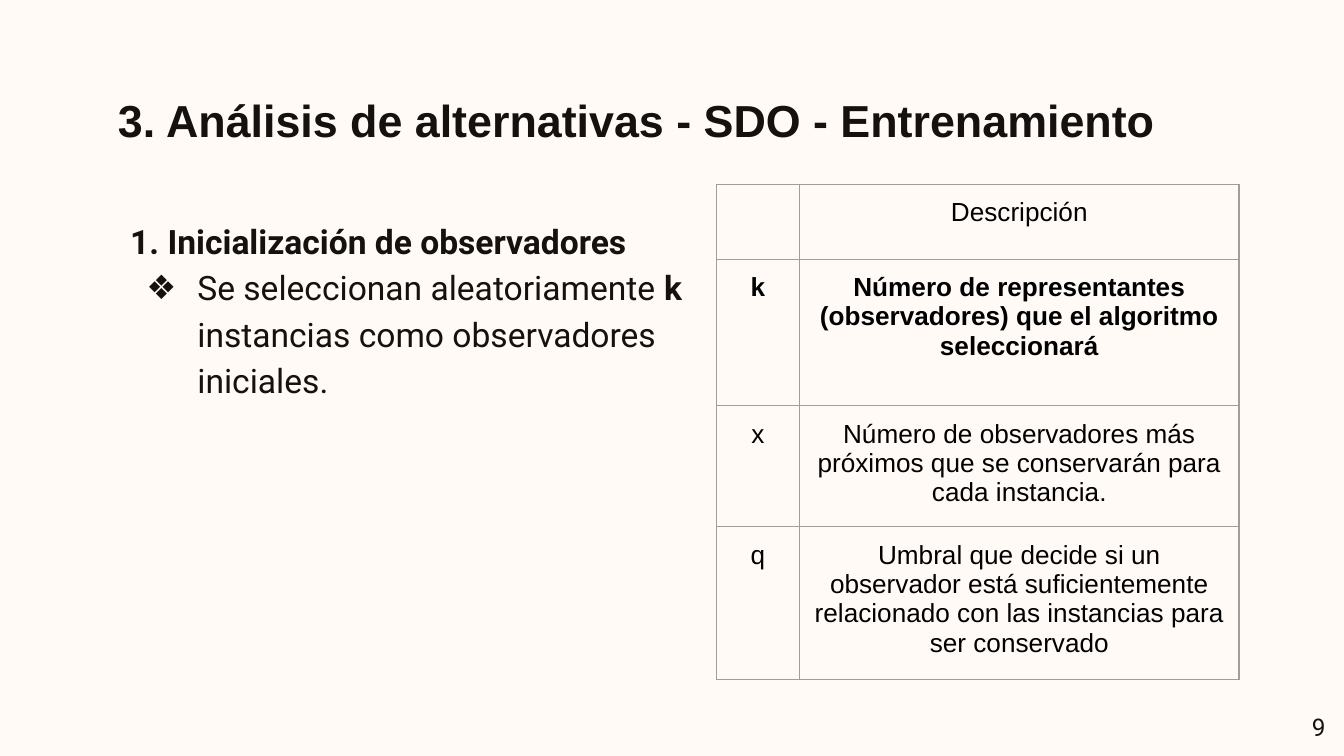
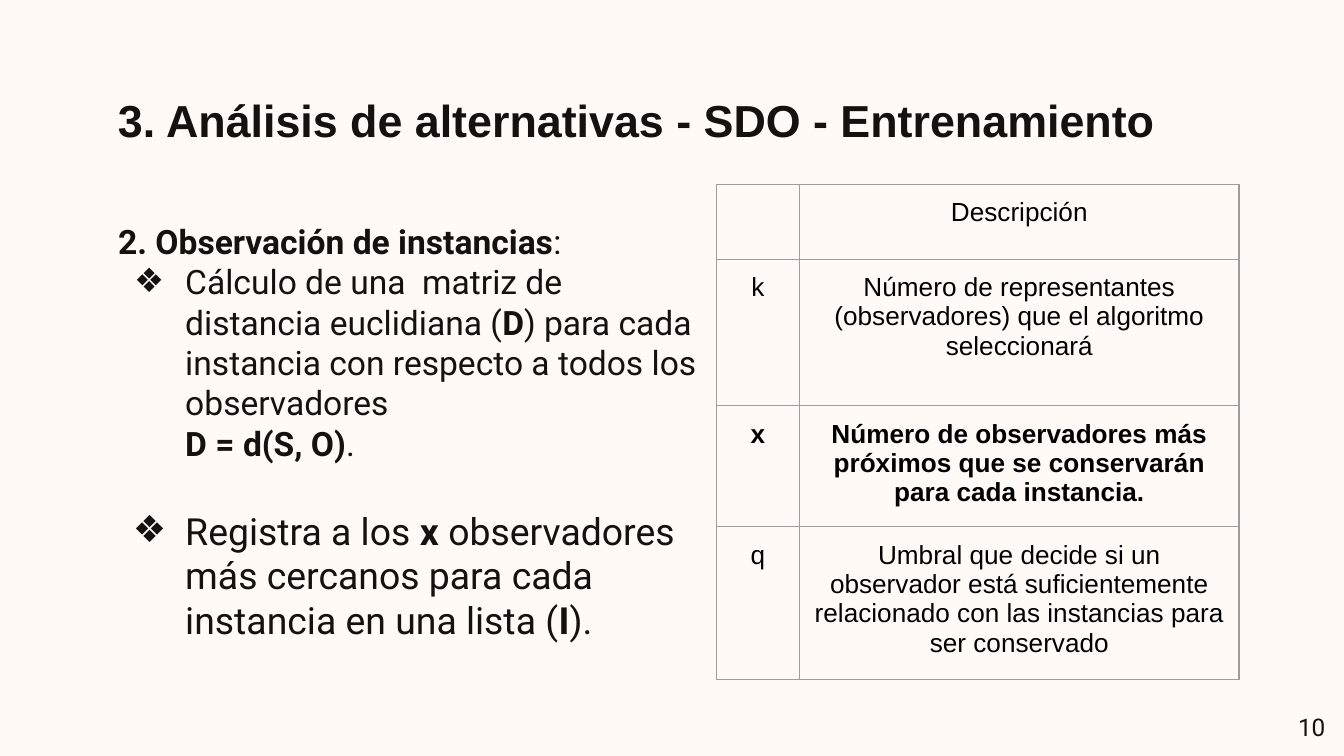
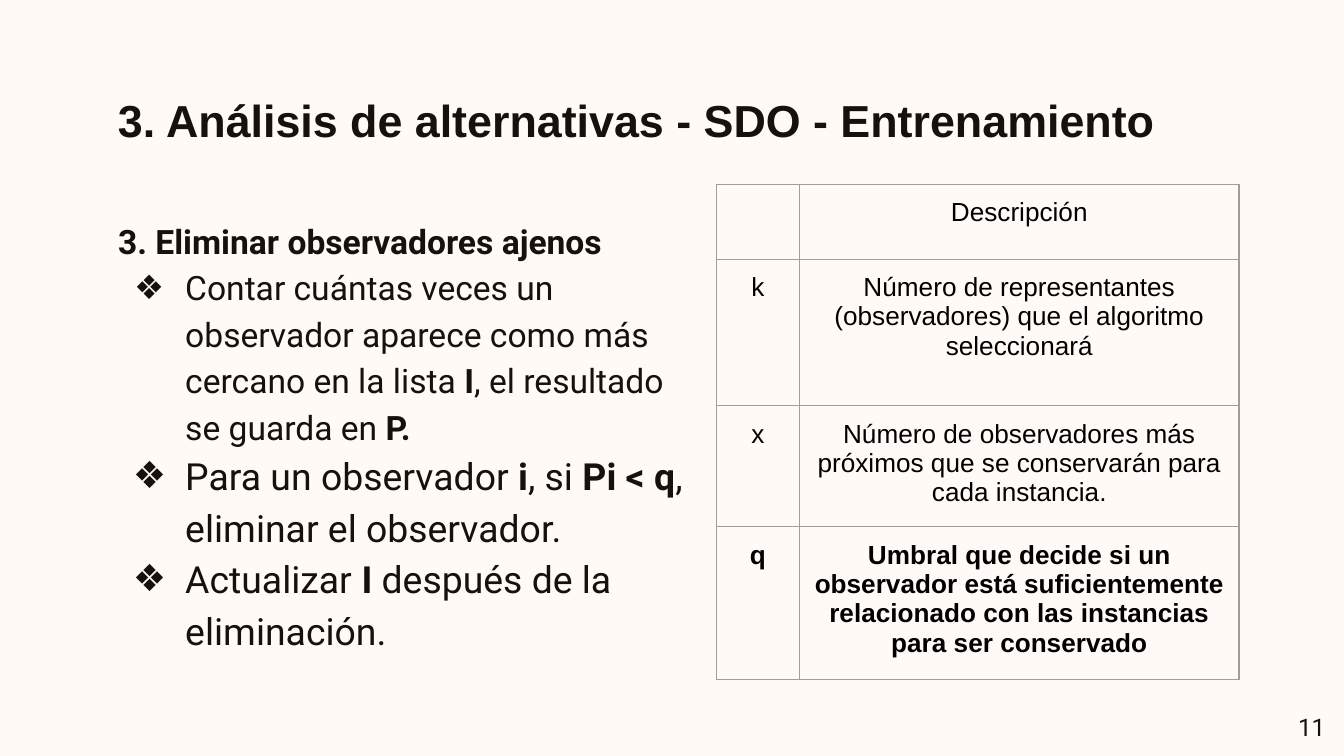
"""Three slides on the SDO training steps, each beside the table of parameters."""

from lxml import etree
from pptx import Presentation
from pptx.dml.color import RGBColor
from pptx.enum.text import MSO_ANCHOR, PP_ALIGN
from pptx.oxml.ns import qn
from pptx.util import Inches, Pt

LEFT, CENTER, RIGHT = PP_ALIGN.LEFT, PP_ALIGN.CENTER, PP_ALIGN.RIGHT
TOP, MIDDLE = MSO_ANCHOR.TOP, MSO_ANCHOR.MIDDLE
CREAM = RGBColor(0xFF, 0xFA, 0xF6)
INK = RGBColor(0x15, 0x11, 0x0E)
BLACK = RGBColor(0, 0, 0)
GRAY = RGBColor(0x9E, 0x9E, 0x9E)

INSETS = {f"margin_{side}": Inches(0.1) for side in ("left", "top", "right", "bottom")}
MARGIN = 0.78
TITLE = "*3. Análisis de alternativas - SDO - Entrenamiento*"
TABLE_SIDE = Inches(3.28)
COLUMN_WIDTHS = (0.62, 3.27)
ROW_HEIGHTS = (0.56, 1.09, 0.86, 1.09)
PARAMETERS = (
    ("", "Descripción"),
    ("k", "Número de representantes (observadores) que el algoritmo seleccionará"),
    ("x", "Número de observadores más próximos que se conservarán para cada instancia."),
    ("q", "Umbral que decide si un observador está suficientemente relacionado "
          "con las instancias para ser conservado"),
)

HEADING = {"size": 18, "line_spacing": 1.15}
BULLET = {"size": 18, "indent": (0.5, -0.38), "bullet": "❖"}
LARGE_BULLET = {"size": 20, "indent": (0.5, -0.39), "bullet": "❖"}
LOOSE = {"line_spacing": 1.15}
FORMULA = {"size": 18, "indent": (0, 0.5)}

STEPS = (
    {"number": 9, "left": 0.87, "parameter": "k", "lines": (
        ("*1. Inicialización de observadores*", HEADING),
        ("Se seleccionan aleatoriamente *k* instancias como observadores iniciales.",
         BULLET | LOOSE),
    )},
    {"number": 10, "left": MARGIN, "parameter": "x", "lines": (
        ("*2. Observación de instancias*:", HEADING),
        ("Cálculo de una  matriz de distancia euclidiana (*D*) para cada instancia "
         "con respecto a todos los observadores", BULLET),
        ("*D = d(S, O)*.", FORMULA),
        ("Registra a los *x* observadores más cercanos para cada instancia "
         "en una lista (*I*).", LARGE_BULLET | {"space_before": Pt(24)}),
    )},
    {"number": 11, "left": MARGIN, "parameter": "q", "lines": (
        ("*3. Eliminar observadores ajenos*", HEADING),
        ("Contar cuántas veces un observador aparece como más cercano en la lista *I*, "
         "el resultado se guarda en *P.*", BULLET | LOOSE),
        ("Para un observador *i*, si *Pi < q*, eliminar el observador.",
         LARGE_BULLET | LOOSE),
        ("Actualizar *I *después de la eliminación.", LARGE_BULLET | LOOSE),
    )},
)


def write_spans(para, text, font_name, size, color):
    """Write text into a paragraph, with the parts between asterisks in bold."""
    for index, part in enumerate(text.split("*")):
        if part:
            span = para.add_run()
            span.text = part
            values = {"name": font_name, "size": Pt(size), "bold": index % 2 == 1}
            for name, value in values.items():
                setattr(span.font, name, value)
            span.font.color.rgb = color


def add_text(page, area, lines, font_name, anchor=TOP, alignment=LEFT):
    """Add a text box holding one paragraph for each line and its format."""
    box = page.shapes.add_textbox(*(Inches(length) for length in area))
    frame = box.text_frame
    for name, value in (INSETS | {"word_wrap": True, "vertical_anchor": anchor}).items():
        setattr(frame, name, value)
    for index, (text, style) in enumerate(lines):
        para = frame.add_paragraph() if index else frame.paragraphs[0]
        para.alignment = alignment
        properties = para._p.get_or_add_pPr()
        if "indent" in style:
            for name, length in zip(("marL", "indent"), style["indent"]):
                properties.set(name, str(Inches(length)))
        if "bullet" in style:
            tint = etree.SubElement(properties, qn("a:buClr"))
            etree.SubElement(tint, qn("a:srgbClr"), val=str(INK))
            etree.SubElement(properties, qn("a:buSzPts"), val=str(style["size"] * 100))
            etree.SubElement(properties, qn("a:buFont"), typeface=font_name)
            etree.SubElement(properties, qn("a:buChar"), char=style["bullet"])
        for name in ("line_spacing", "space_before"):
            if name in style:
                setattr(para, name, style[name])
        write_spans(para, text, font_name, style["size"], INK)


deck = Presentation()
deck.slide_width = Inches(10)
deck.slide_height = deck.slide_width * 9 // 16
deck.slide_master.background.fill.solid()
deck.slide_master.background.fill.fore_color.rgb = CREAM
blank = deck.slide_layouts[6]

for step in STEPS:
    page = deck.slides.add_slide(blank)
    add_text(page, (MARGIN, 0.59, 10 - 2 * MARGIN, 0.6), [(TITLE, {"size": 24})],
             "Arial", MIDDLE)
    add_text(page, (9.36, 5.19, 0.6, 0.43), [(str(step["number"]), {"size": 13})],
             "Roboto", MIDDLE, RIGHT)
    add_text(page, (step["left"], 1.5, 4.55, 3.43), step["lines"], "Roboto")

    holder = page.shapes.add_table(
        len(ROW_HEIGHTS), len(COLUMN_WIDTHS), Inches(5.33), Inches(1.37),
        TABLE_SIDE, TABLE_SIDE)
    table = holder.table
    table.first_row = table.horz_banding = False
    for column, width in zip(table.columns, COLUMN_WIDTHS):
        column.width = Inches(width)
    for row, height, texts in zip(table.rows, ROW_HEIGHTS, PARAMETERS):
        row.height = Inches(height)
        for cell, text in zip(row.cells, texts):
            for name, value in INSETS.items():
                setattr(cell, name, value)
            cell.fill.background()
            properties = cell._tc.get_or_add_tcPr()
            for position, side in enumerate(("lnL", "lnR", "lnT", "lnB")):
                border = etree.Element(qn(f"a:{side}"), w=str(Pt(0.75)))
                paint = etree.SubElement(border, qn("a:solidFill"))
                etree.SubElement(paint, qn("a:srgbClr"), val=str(GRAY))
                properties.insert(position, border)
            para = cell.text_frame.paragraphs[0]
            para.alignment = CENTER
            marked = f"*{text}*" if texts[0] == step["parameter"] else text
            write_spans(para, marked, "Arial", 14, BLACK)
    holder.width = holder.height = TABLE_SIDE

deck.save("out.pptx")
